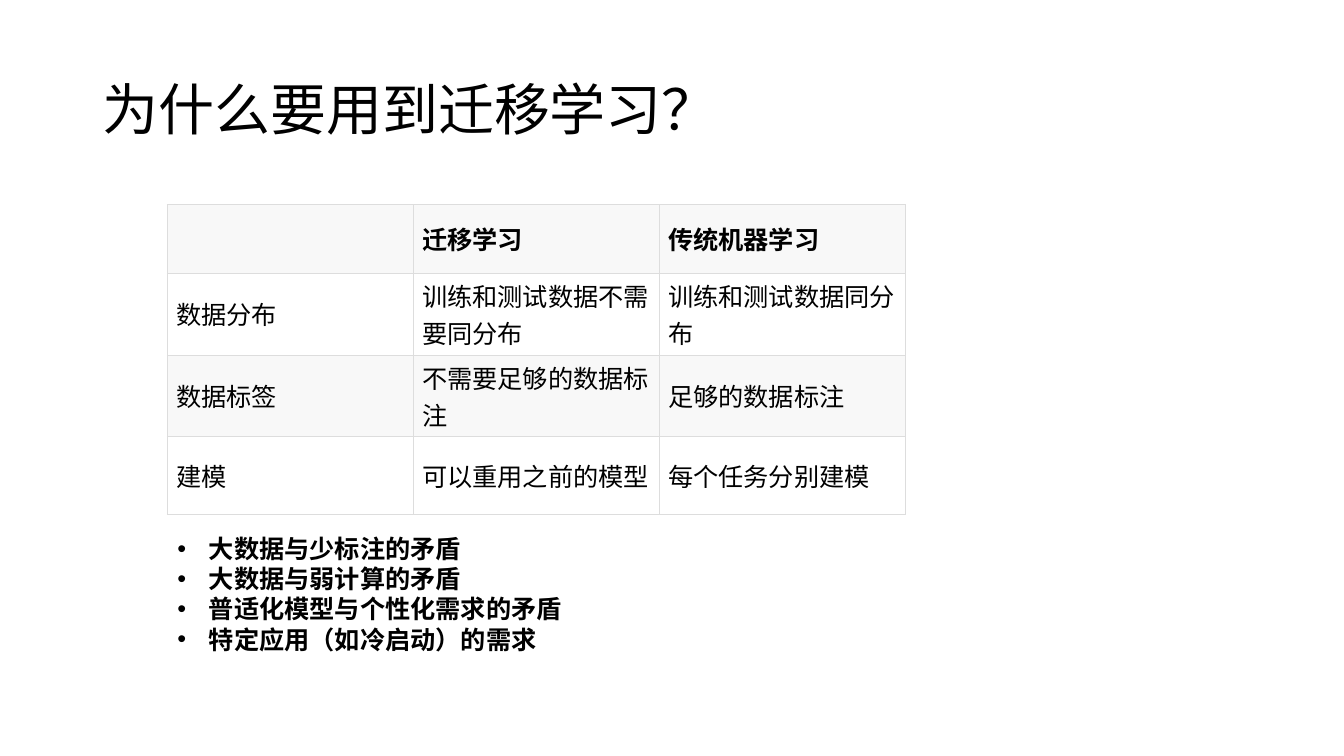
import pptx
import pptx.util
import pptx.dml.color
import pptx.enum.text
import pptx.oxml.ns
import lxml.etree

Pt = pptx.util.Pt
qn = pptx.oxml.ns.qn

COLORS = {"text": "000000", "border": "DDDDDD", "shaded": "F8F8F8", "plain": "FFFFFF"}
CJK_FONT = "Noto Sans CJK SC"
ROWS = [
    ["", "迁移学习", "传统机器学习"],
    ["数据分布", "训练和测试数据不需要同分布", "训练和测试数据同分布"],
    ["数据标签", "不需要足够的数据标注", "足够的数据标注"],
    ["建模", "可以重用之前的模型", "每个任务分别建模"],
]
REASONS = [
    "大数据与少标注的矛盾",
    "大数据与弱计算的矛盾",
    "普适化模型与个性化需求的矛盾",
    "特定应用（如冷启动）的需求",
]


def color(name):
    return pptx.dml.color.RGBColor.from_string(COLORS[name])


def format_paragraph(paragraph, size, latin, east_asian, bold=False):
    font = paragraph.font
    font.size = Pt(size)
    font.bold = bold
    font.name = latin
    font.color.rgb = color("text")
    properties = paragraph._p.pPr.find(qn("a:defRPr"))
    lxml.etree.SubElement(properties, qn("a:ea"), typeface=east_asian)
    paragraph.alignment = pptx.enum.text.PP_ALIGN.LEFT


def place(shape, box):
    shape.left, shape.top, shape.width, shape.height = (Pt(length) for length in box)


def add_title(slide, box):
    title = slide.shapes.title
    place(title, box)
    frame = title.text_frame
    frame.text = "为什么要用到迁移学习？"
    frame.auto_size = pptx.enum.text.MSO_AUTO_SIZE.NONE
    frame.vertical_anchor = pptx.enum.text.MSO_ANCHOR.MIDDLE
    paragraph = frame.paragraphs[0]
    format_paragraph(paragraph, 40, CJK_FONT, CJK_FONT)
    paragraph.line_spacing = Pt(40)


def add_borders(cell):
    properties = cell._tc.get_or_add_tcPr()
    for side in ("a:lnL", "a:lnR", "a:lnT", "a:lnB"):
        line = lxml.etree.SubElement(properties, qn(side), w=str(Pt(0.5)))
        fill = lxml.etree.SubElement(line, qn("a:solidFill"))
        lxml.etree.SubElement(fill, qn("a:srgbClr"), val=COLORS["border"])


def add_comparison_table(slide, box):
    left, top, width, height = (Pt(length) for length in box)
    table = slide.shapes.add_table(len(ROWS), len(ROWS[0]), left, top, width, height).table
    table.horz_banding = False
    header_height = Pt(49)
    table.rows[0].height = header_height
    for row in list(table.rows)[1:]:
        row.height = (height - header_height) // (len(ROWS) - 1)
    for row_index, texts in enumerate(ROWS):
        for column_index, text in enumerate(texts):
            cell = table.cell(row_index, column_index)
            cell.text = text
            cell.vertical_anchor = pptx.enum.text.MSO_ANCHOR.MIDDLE
            cell.margin_left = cell.margin_right = Pt(6.4)
            cell.margin_top = cell.margin_bottom = Pt(3.2)
            add_borders(cell)
            cell.fill.solid()
            cell.fill.fore_color.rgb = color("plain" if row_index % 2 else "shaded")
            paragraph = cell.text_frame.paragraphs[0]
            format_paragraph(paragraph, 18, "Lato", CJK_FONT, bold=row_index == 0)


def add_reasons(slide, box):
    body = slide.placeholders[1]
    place(body, box)
    frame = body.text_frame
    frame.text = "\n".join(REASONS)
    frame.auto_size = pptx.enum.text.MSO_AUTO_SIZE.NONE
    frame.word_wrap = True
    for paragraph in frame.paragraphs:
        format_paragraph(paragraph, 18, "Calibri", "Calibri", bold=True)
        paragraph.space_before = Pt(0)
        properties = paragraph._p.pPr
        properties.set("marL", str(Pt(22.5)))
        properties.set("indent", str(Pt(-22.5)))


def main():
    presentation = pptx.Presentation()
    presentation.slide_width = Pt(960)
    presentation.slide_height = Pt(540)
    slide = presentation.slides.add_slide(presentation.slide_layouts[1])
    add_title(slide, (66, 28.75, 828, 104.4))
    add_comparison_table(slide, (119.5, 146, 527, 215.4))
    add_reasons(slide, (119.5, 377.3, 313.2, 116.6))
    presentation.save("out.pptx")


if __name__ == "__main__":
    main()
